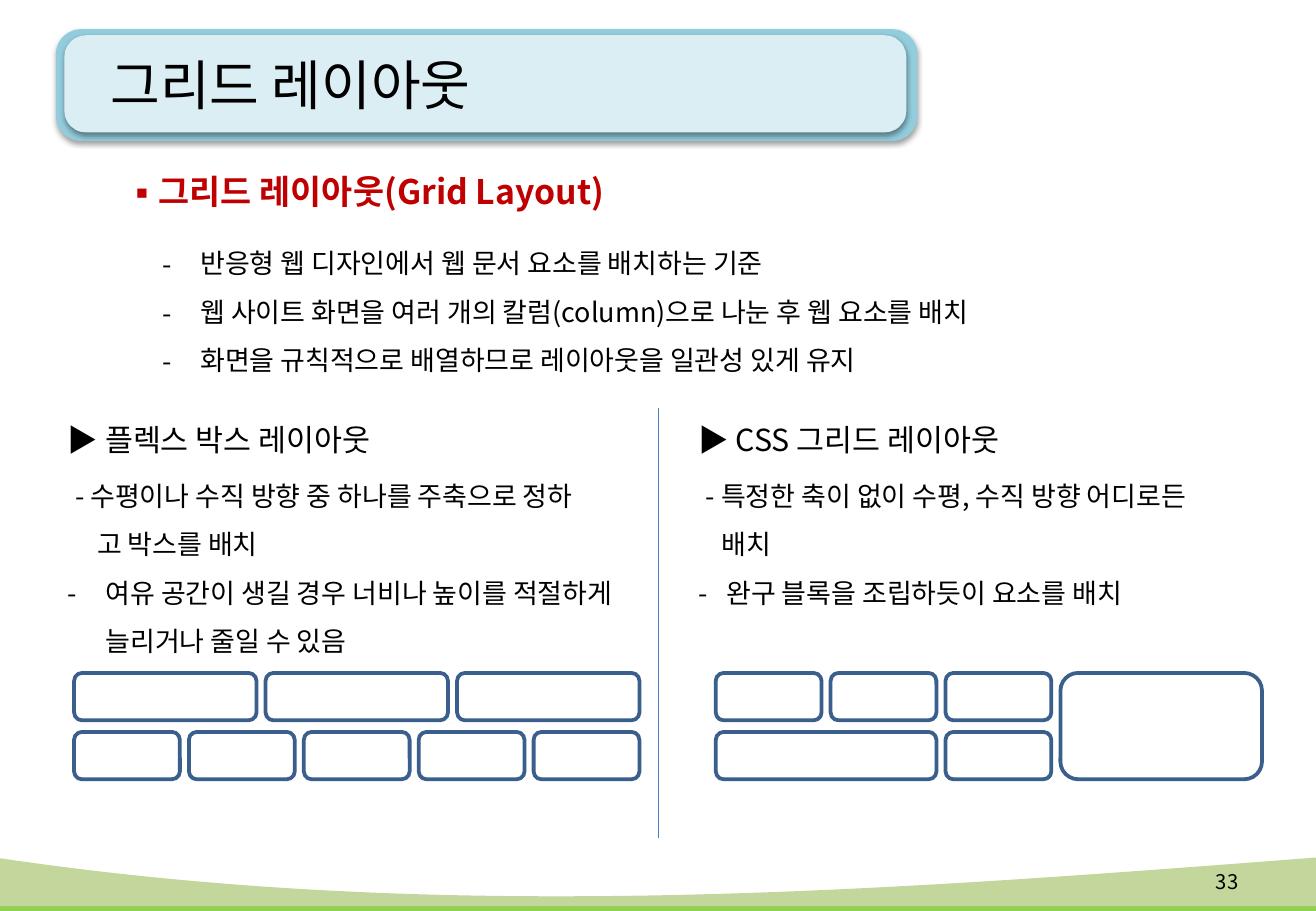
from dataclasses import dataclass

from lxml.etree import SubElement
from pptx import Presentation
from pptx.dml.color import RGBColor
from pptx.enum.shapes import MSO_CONNECTOR as Link, MSO_SHAPE as Preset
from pptx.enum.text import MSO_ANCHOR as Anchor, PP_ALIGN as Align
from pptx.oxml.ns import qn
from pptx.shapes.autoshape import Shape
from pptx.slide import Slide
from pptx.text.text import TextFrame
from pptx.util import Inches, Pt

FONT = "Noto Sans CJK KR"
WIDE, HIGH = Inches(10.83), Inches(7.5)
COLORS = {
    "ink": "000000", "red": "C00000", "rim": "93CDDD", "panel": "DBEEF4",
    "leaf": "92D050", "moss": "C3D69B", "edge": "3A5F8C", "rule": "4B7EBC",
}
# Block grid, in percent of the slide
UNIT, ROW = 2.91, 6.47
GAP_X, GAP_Y = 0.69, 1.27
GRID_TOP = 73.87


@dataclass
class Box:
    """Left, top, width and height in percent of the slide."""
    x: float
    y: float
    w: float
    h: float

    def place(self) -> tuple[int, int, int, int]:
        return across(self.x), down(self.y), across(self.w), down(self.h)


@dataclass
class Line:
    """A paragraph; margin and hang are in inches, before in points."""
    text: str
    size: int = 16
    margin: float = 0
    hang: float = 0
    bullet: str = ""
    color: str = "ink"
    bold: bool = False
    space: float = 1.5
    align: Align = Align.LEFT
    before: float = 0


@dataclass
class Note:
    box: Box
    lines: list[Line]
    anchor: Anchor = Anchor.TOP


@dataclass
class Wave:
    color: str
    curve: tuple[float, float, float, float]
    base: float


@dataclass
class Block:
    """A cell measured in grid units and rows."""
    col: float
    row: int
    cols: float
    rows: int = 1


def across(share: float) -> int:
    return round(WIDE * share / 100)


def down(share: float) -> int:
    return round(HIGH * share / 100)


def tint(name: str) -> RGBColor:
    return RGBColor.from_string(COLORS[name])


def add_wave(slide: Slide, wave: Wave) -> None:
    """Draw a band whose top edge is a sampled cubic curve."""
    def curve(vals: tuple[float, ...], t: float) -> float:
        a, b, c, d = vals
        s = 1 - t
        return a * s**3 + 3 * b * s * s * t + 3 * c * s * t * t + d * t**3

    xs = (-0.37, 33.61, 66.39, 100)
    steps = [i / 60 for i in range(61)]
    dots = [(across(curve(xs, t)), down(curve(wave.curve, t))) for t in steps]
    dots += [(across(x), down(wave.base)) for x in (xs[-1], xs[0])]
    pen = slide.shapes.build_freeform(*dots[0])
    pen.add_line_segments(dots[1:], close=True)
    paint(pen.convert_to_shape(), wave.color)


def paint(shape: Shape, color: str) -> None:
    shape.shadow.inherit = False
    shape.fill.solid()
    shape.fill.fore_color.rgb = tint(color)
    shape.line.fill.background()


def add_panel(slide: Slide, box: Box, color: str) -> None:
    """Draw a rounded title panel with a soft shadow below it."""
    shape = slide.shapes.add_shape(Preset.ROUNDED_RECTANGLE, *box.place())
    shape.adjustments[0] = 0.225
    paint(shape, color)
    glow = shape._element.spPr.find(qn("a:effectLst"))
    shade = SubElement(glow, qn("a:outerShdw"), blurRad=str(Pt(3.1)),
                       dist=str(Pt(1.6)), dir="5400000", rotWithShape="0")
    black = SubElement(shade, qn("a:srgbClr"), val=COLORS["ink"])
    SubElement(black, qn("a:alpha"), val="38000")


def add_block(slide: Slide, left: float, block: Block) -> None:
    box = Box(left + block.col * UNIT, GRID_TOP + block.row * ROW,
              block.cols * UNIT - GAP_X, block.rows * ROW - GAP_Y)
    shape = slide.shapes.add_shape(Preset.ROUNDED_RECTANGLE, *box.place())
    shape.shadow.inherit = False
    shape.fill.background()
    shape.line.color.rgb = tint("edge")
    shape.line.width = Pt(2.25)


def write(frame: TextFrame, lines: list[Line]) -> None:
    frame.word_wrap = True
    frame.text = "\n".join(line.text for line in lines)
    for para, line in zip(frame.paragraphs, lines):
        props = para._p.get_or_add_pPr()
        props.set("marL", str(Inches(line.margin)))
        props.set("indent", str(-Inches(line.hang)))
        if line.bullet:
            SubElement(props, qn("a:buFont"), typeface=FONT)
            SubElement(props, qn("a:buChar"), char=line.bullet)
        para.line_spacing = line.space
        para.space_before = Pt(line.before)
        para.alignment = line.align
        for run in para.runs:
            font = run.font
            font.name, font.size, font.bold = FONT, Pt(line.size), line.bold
            font.color.rgb = tint(line.color)
            SubElement(run._r.get_or_add_rPr(), qn("a:ea"), typeface=FONT)


def add_note(slide: Slide, note: Note) -> None:
    frame = slide.shapes.add_textbox(*note.box.place()).text_frame
    frame.vertical_anchor = note.anchor
    write(frame, note.lines)


def set_title(slide: Slide, box: Box, line: Line) -> None:
    """Fill the title and bring it in front of its panels."""
    title = slide.shapes.title
    title.left, title.top, title.width, title.height = box.place()
    title.text_frame.vertical_anchor = Anchor.MIDDLE
    write(title.text_frame, [line])
    slide.shapes._spTree.append(title._element)


def add_rule(slide: Slide, x: float, top: float, end: float) -> None:
    rule = slide.shapes.add_connector(
        Link.STRAIGHT, across(x), down(top), across(x), down(end))
    rule.line.color.rgb = tint("rule")
    rule.line.width = Pt(0.75)
    SubElement(rule._element.spPr, qn("a:effectLst"))


def dash(text: str, hang: float = 0.31) -> Line:
    """Make a hanging line that starts with a dash."""
    return Line(text, margin=hang, hang=hang, bullet="-")


NOTES = [
    Note(Box(89.38, 94.13, 5.63, 5.33),
         [Line("33", 12, space=1, align=Align.RIGHT)], Anchor.MIDDLE),
    Note(Box(8.59, 18.13, 63.25, 6.67),
         [Line("그리드 레이아웃(Grid Layout)", 20, 0.25, 0.25, "▪", "red", True, 1)]),
    Note(Box(11.45, 24.67, 81.44, 18.13), [
        dash("반응형 웹 디자인에서 웹 문서 요소를 배치하는 기준"),
        dash("웹 사이트 화면을 여러 개의 칼럼(column)으로 나눈 후 웹 요소를 배치"),
        dash("화면을 규칙적으로 배열하므로 레이아웃을 일관성 있게 유지")]),
    Note(Box(4.25, 43.6, 45.8, 29.6), [
        Line("▶ 플렉스 박스 레이아웃", 18),
        Line("- 수평이나 수직 방향 중 하나를 주축으로 정하", margin=0.06, before=3),
        Line("고 박스를 배치", margin=0.24),
        dash("여유 공간이 생길 경우 너비나 높이를 적절하게 늘리거나 줄일 수 있음")]),
    Note(Box(52.17, 43.6, 45.8, 24.27), [
        Line("▶ CSS 그리드 레이아웃", 18),
        Line("- 특정한 축이 없이 수평, 수직 방향 어디로든", margin=0.06, before=3),
        Line("배치", margin=0.19),
        dash("완구 블록을 조립하듯이 요소를 배치", 0.23)]),
]
FLEX = ([Block(5 * i, 0, 5) for i in range(3)]
        + [Block(3 * i, 1, 3) for i in range(5)])
GRID = ([Block(3 * i, 0, 3) for i in range(3)]
        + [Block(0, 1, 6), Block(6, 1, 3), Block(9, 0, 5.5, 2)])


def main() -> None:
    deck = Presentation()
    deck.slide_width, deck.slide_height = WIDE, HIGH
    slide = deck.slides.add_slide(deck.slide_layouts[5])
    add_wave(slide, Wave("leaf", (96.53, 101.33, 99.07, 96.53), 100))
    add_panel(slide, Box(4.25, 3.2, 65.47, 12.27), "rim")
    add_panel(slide, Box(4.89, 3.87, 63.99, 10.67), "panel")
    add_wave(slide, Wave("moss", (94.13, 101.47, 97.87, 94.13), 99.47))
    set_title(slide, Box(6.37, 2.93, 62.6, 12.53),
              Line("그리드 레이아웃", 32, margin=0.12, space=1))
    for note in NOTES:
        add_note(slide, note)
    add_rule(slide, 50.05, 44.8, 92)
    for left, blocks in ((5.63, FLEX), (54.39, GRID)):
        for block in blocks:
            add_block(slide, left, block)
    deck.save("out.pptx")


if __name__ == "__main__":
    main()
